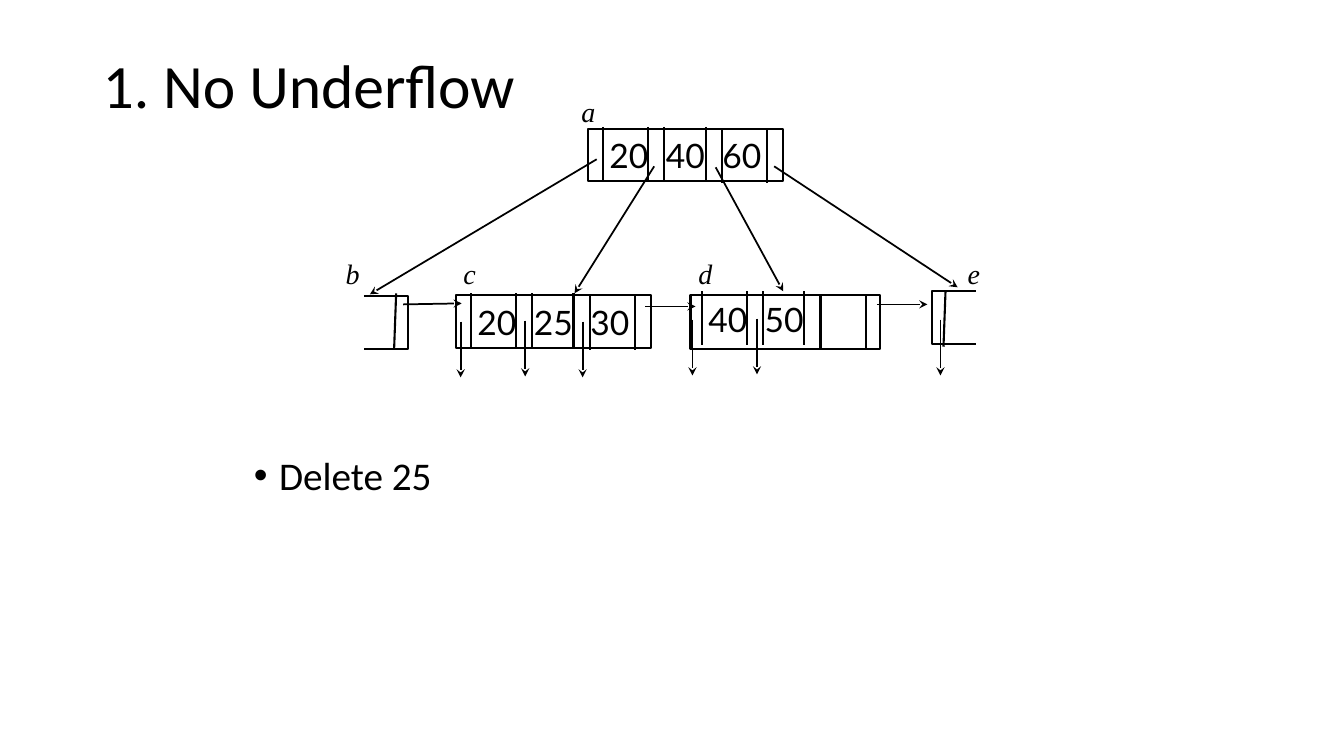
from dataclasses import dataclass

from lxml import etree
from pptx import Presentation
from pptx.dml.color import RGBColor
from pptx.enum.shapes import MSO_CONNECTOR, MSO_SHAPE
from pptx.enum.text import MSO_ANCHOR, PP_ALIGN
from pptx.oxml.ns import qn
from pptx.util import Emu, Inches, Pt

STRAIGHT = MSO_CONNECTOR.STRAIGHT
RECT = MSO_SHAPE.RECTANGLE
MIDDLE, TOP = MSO_ANCHOR.MIDDLE, MSO_ANCHOR.TOP
LEFT, CENTER = PP_ALIGN.LEFT, PP_ALIGN.CENTER

# The slide is a grid of square cells, 133.3 columns by 75 rows.
CELL = Inches(0.1)
COLS, ROWS = 133.33, 75
INK = "000000"
THIN, THICK = 1.25, 1.5

# Columns from the left of a node
BARS = (1.5, 6, 7.6, 11.7, 13.3, 17.8)
LOW = 4  # bars from this index on sit slightly lower
BAR = 5.3
KEY, STEP = 4.1, 5.6

Point = tuple[float, float]


@dataclass
class Font:
    name: str
    size: float
    italic: bool = False


@dataclass
class Node:
    x: float
    y: float
    keys: tuple[str, ...]
    box: tuple[float, float, float, float]


@dataclass
class Part:
    """A node cut off at one side: open outline and slanted bar."""
    edge: tuple[Point, ...]
    bar: tuple[Point, Point]


@dataclass
class Arrow:
    start: Point
    end: Point


@dataclass
class Label:
    text: str
    x: float
    y: float


HEAD = Font("Calibri", 44)
BODY = Font("Calibri", 28)
DIGIT = Font("Lato", 24)
NAME = Font("Times New Roman", 20, True)

NODES = (
    Node(58.3, 12.8, ("20", "40", "60"), (58.3, 12.8, 19.4, 5.2)),
    Node(45.2, 29.3, ("20", "25", "30"), (45.2, 29.3, 19.4, 5.2)),
    Node(68.1, 29.1, ("40", "50"), (68.5, 29.3, 18.8, 5.3)),
)
PARTS = (
    Part(((36.1, 29.4), (40.5, 29.4), (40.5, 34.6), (36.1, 34.6)),
         ((39.3, 29.1), (39.1, 34.6))),
    Part(((96.8, 34.1), (92.5, 34.1), (92.5, 28.9), (96.8, 28.9)),
         ((93.6, 34.4), (93.8, 28.9))),
)
CHILD = (
    Arrow((59.2, 15.8), (36.7, 29.2)),
    Arrow((64.9, 16.5), (57, 29.1)),
    Arrow((71, 16.6), (77.7, 28.9)),
    Arrow((76.8, 16.5), (95, 28.5)),
)
NEXT = (
    Arrow((40, 30.2), (45.8, 30.1)),
    Arrow((64, 30.4), (69, 30.4)),
    Arrow((87, 30.2), (92, 30.2)),
)
DROPS = ((45.7, 31.9), (52.1, 31.8), (57.8, 31.9),
         (68.7, 31.7), (75.1, 31.6), (93.3, 31.7))
DROP = 5.55
LABELS = (
    Label("a", 56.7, 8.9),
    Label("b", 33.3, 25),
    Label("c", 45, 25),
    Label("d", 68.3, 25),
    Label("e", 95, 25),
)


def grid(cells: float) -> Emu:
    return Emu(round(cells * CELL))


def tint(code: str) -> RGBColor:
    return RGBColor.from_string(code)


def stroke(line, width: float) -> None:
    line.color.rgb = tint(INK)
    line.width = Pt(width)


def rule(shapes, start: Point, end: Point, width: float, head: bool = False) -> None:
    """Draw a straight line, with a stealth arrowhead if asked."""
    link = shapes.add_connector(STRAIGHT, *map(grid, start + end))
    stroke(link.line, width)
    props = link._element.spPr
    if head:
        etree.SubElement(props.find(qn("a:ln")), qn("a:tailEnd"), type="stealth")
    etree.SubElement(props, qn("a:effectLst"))


def plain(shape) -> None:
    """Leave only the outline of a shape."""
    shape.fill.background()
    stroke(shape.line, THICK)
    shape.shadow.inherit = False


def write(shapes, text: str, box: tuple[float, float, float, float], font: Font,
          align=LEFT, anchor=TOP, wrap: bool = False):
    frame = shapes.add_textbox(*map(grid, box)).text_frame
    frame.word_wrap = wrap
    frame.vertical_anchor = anchor
    para = frame.paragraphs[0]
    para.text = text
    para.alignment = align
    para.font.name = font.name
    para.font.size = Pt(font.size)
    para.font.italic = font.italic
    para.font.color.rgb = tint(INK)
    return para


def bullet(para) -> None:
    props = para._p.get_or_add_pPr()
    props.set("marL", str(Inches(0.25)))
    props.set("indent", str(-Inches(0.25)))
    face = etree.Element(qn("a:buFont"), typeface="Arial")
    mark = etree.Element(qn("a:buChar"), char="•")
    spot = props.find(qn("a:defRPr"))
    spot.addprevious(face)
    spot.addprevious(mark)


def draw_node(shapes, node: Node) -> None:
    plain(shapes.add_shape(RECT, *map(grid, node.box)))
    for i, bar in enumerate(BARS):
        x = node.x + bar
        y = node.y + (0.1 if i >= LOW else -0.2)
        rule(shapes, (x, y), (x, y + BAR), THICK)
    for i, key in enumerate(node.keys):
        mid = node.x + KEY + i * STEP
        write(shapes, key, (mid - 3, node.y, 6, 5.2), DIGIT, CENTER, MIDDLE)


def draw_part(shapes, part: Part) -> None:
    first, *rest = [(grid(x), grid(y)) for x, y in part.edge]
    path = shapes.build_freeform(*first)
    path.add_line_segments(rest, close=False)
    plain(path.convert_to_shape())
    rule(shapes, *part.bar, THICK)


def main() -> None:
    deck = Presentation()
    deck.slide_width, deck.slide_height = grid(COLS), grid(ROWS)
    shapes = deck.slides.add_slide(deck.slide_layouts[6]).shapes

    title = write(shapes, "1. No Underflow", (9.2, 3.3, 115, 10.9), HEAD,
                  anchor=MIDDLE, wrap=True)
    title.line_spacing = 0.9
    task = write(shapes, "Delete 25", (24.2, 45.2, 85, 21.5), BODY, wrap=True)
    task.line_spacing = 0.8
    bullet(task)

    for node in NODES:
        draw_node(shapes, node)
    for part in PARTS:
        draw_part(shapes, part)
    drops = tuple(Arrow((x, y), (x, y + DROP)) for x, y in DROPS)
    for arrow in CHILD + NEXT + drops:
        rule(shapes, arrow.start, arrow.end, THIN, head=True)
    for label in LABELS:
        write(shapes, label.text, (label.x, label.y, 3.4, 4.3), NAME)

    deck.save("out.pptx")


if __name__ == "__main__":
    main()
